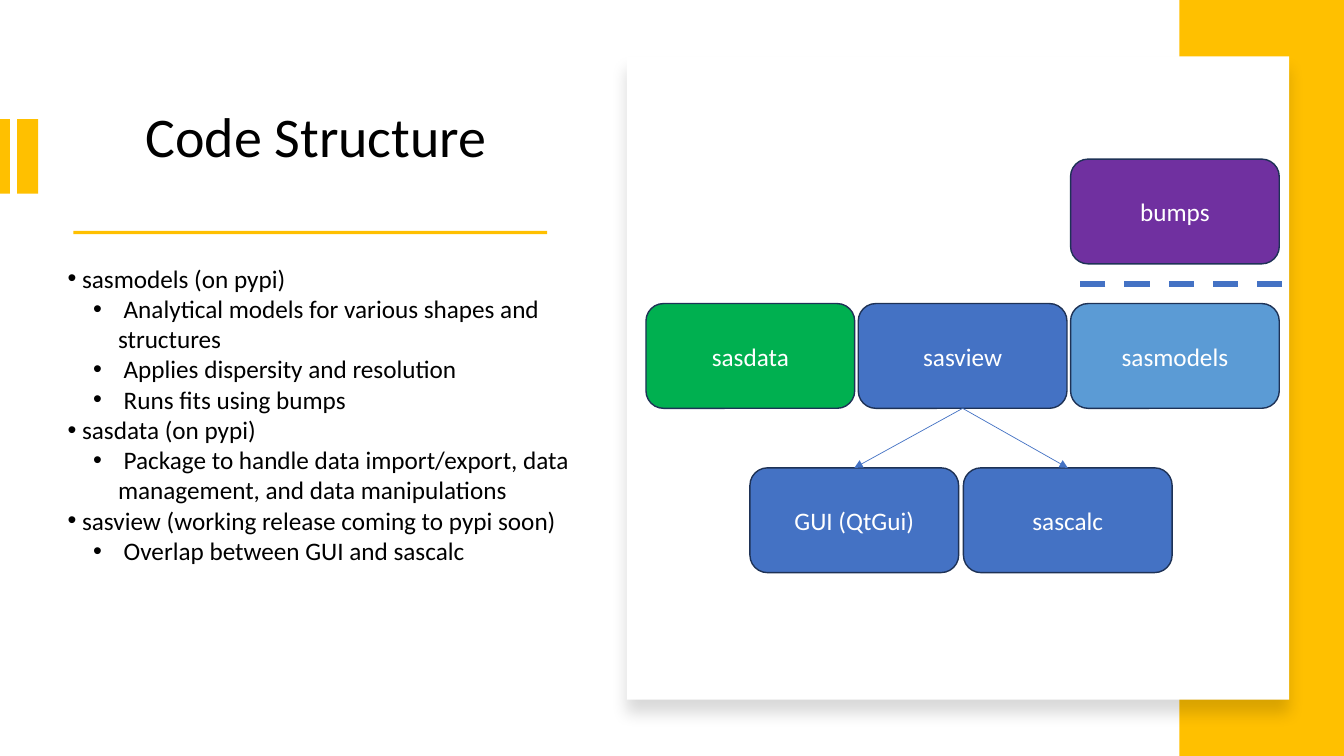
import pptx
import pptx.dml.color
import pptx.enum.dml
import pptx.enum.shapes
import pptx.enum.text
import pptx.oxml
import pptx.oxml.ns
import pptx.util

Cm, Pt = pptx.util.Cm, pptx.util.Pt
SHAPE = pptx.enum.shapes.MSO_SHAPE
ALIGN = pptx.enum.text.PP_ALIGN
ANCHOR = pptx.enum.text.MSO_ANCHOR
NS = pptx.oxml.ns.nsdecls("a")

FONT = "Calibri"
GOLD, BLUE, WHITE, BLACK, NAVY = "FFC000", "4472C4", "FFFFFF", "000000", "1E3256"
BOX_W, BOX_H = 5.26, 2.64

BULLETS = [
    (0, " sasmodels\u00a0(on pypi)".replace("\u00a0", " ")),
    (1, " Analytical models for various shapes and structures"),
    (1, " Applies dispersity and resolution"),
    (1, " Runs fits using bumps"),
    (0, " sasdata (on pypi)"),
    (1, " Package to handle data import/export, data management, and data manipulations"),
    (0, " sasview (working release coming to pypi soon)"),
    (1, " Overlap between GUI and sascalc"),
]


def rgb(value):
    return pptx.dml.color.RGBColor.from_string(value)


def add_run(p, text, size, color):
    r = p.add_run()
    r.text = text
    r.font.name = FONT
    r.font.size = Pt(size)
    r.font.color.rgb = rgb(color)


def add_box(s, kind, x, y, w, h, fill, line=None):
    sp = s.shapes.add_shape(kind, Cm(x), Cm(y), Cm(w), Cm(h))
    sp.shadow.inherit = False
    sp.fill.solid()
    sp.fill.fore_color.rgb = rgb(fill)
    if line:
        sp.line.color.rgb = rgb(line)
        sp.line.width = Pt(1)
    else:
        sp.line.fill.background()
    return sp


def add_line(s, x1, y1, x2, y2, width):
    c = s.shapes.add_connector(
        pptx.enum.shapes.MSO_CONNECTOR.STRAIGHT, Cm(x1), Cm(y1), Cm(x2), Cm(y2))
    c.line.color.rgb = rgb(BLUE)
    c.line.width = Pt(width)
    c._element.spPr.append(pptx.oxml.parse_xml(f"<a:effectLst {NS}/>"))
    return c


def place(sp, x, y, w, h):
    sp.left, sp.top, sp.width, sp.height = Cm(x), Cm(y), Cm(w), Cm(h)
    tf = sp.text_frame
    tf.word_wrap = True
    tf.auto_size = pptx.enum.text.MSO_AUTO_SIZE.NONE
    return tf


def add_title(s, x, y, w, h):
    tf = place(s.shapes.title, x, y, w, h)
    tf.vertical_anchor = ANCHOR.MIDDLE
    p = tf.paragraphs[0]
    p.alignment = ALIGN.CENTER
    p.line_spacing = 0.9
    add_run(p, "Code Structure", 40, BLACK)


def add_bullets(s, x, y, w, h):
    tf = place(s.placeholders[1], x, y, w, h)
    tf.vertical_anchor = ANCHOR.TOP
    for i, (level, text) in enumerate(BULLETS):
        p = tf.add_paragraph() if i else tf.paragraphs[0]
        p.level = level
        p.alignment = ALIGN.LEFT
        p.space_before = p.space_after = Pt(0)
        p.line_spacing = 1.0
        pPr = p._p.get_or_add_pPr()
        pPr.set("marL", str(Cm(1.27 * level)))
        pPr.set("indent", str(-Cm(0.63 * level)))
        pPr.append(pptx.oxml.parse_xml(f'<a:buFont {NS} typeface="Arial"/>'))
        pPr.append(pptx.oxml.parse_xml(f'<a:buChar {NS} char="•"/>'))
        add_run(p, text, 18, BLACK)


def add_accents(s, w, h):
    # Two bars at the left edge, the rule under the title, the right band
    for x, y, bar_w, bar_h in [(0, 3, 0.25, 1.88), (0.43, 3, 0.53, 1.88),
                               (1.85, 5.82, 11.94, 0.08), (w - 4.15, 0, 4.15, h)]:
        add_box(s, SHAPE.RECTANGLE, x, y, bar_w, bar_h, GOLD)


def add_module_row(s, x, y, pitch, modules):
    row = []
    for i, (name, fill) in enumerate(modules):
        sp = add_box(s, SHAPE.ROUNDED_RECTANGLE, x + i * pitch, y, BOX_W, BOX_H, fill, NAVY)
        tf = sp.text_frame
        tf.word_wrap = True
        tf.vertical_anchor = ANCHOR.MIDDLE
        p = tf.paragraphs[0]
        p.alignment = ALIGN.CENTER
        add_run(p, name, 18, WHITE)
        row.append(sp)
    return row


def add_diagram(s, x, y, w, h):
    # Panel with a soft shadow below it
    panel = add_box(s, SHAPE.RECTANGLE, x, y, w, h, WHITE)
    panel._element.spPr.find(pptx.oxml.ns.qn("a:effectLst")).append(pptx.oxml.parse_xml(
        f'<a:outerShdw {NS} blurRad="{Pt(11)}" dist="{Pt(10)}" dir="5400000" '
        f'algn="t" rotWithShape="0"><a:srgbClr val="{BLACK}"><a:alpha val="15000"/>'
        '</a:srgbClr></a:outerShdw>'))

    # Modules
    pitch = 5.35
    packages = add_module_row(s, x + 0.48, y + 6.23, pitch, [
        ("sasdata", "00B050"), ("sasview", BLUE), ("sasmodels", "5B9BD5")])
    add_module_row(s, x + 0.48 + 2 * pitch, y + 2.59, pitch, [("bumps", "7030A0")])
    parts = add_module_row(s, x + 3.1, y + 10.37, 5.38, [
        ("GUI (QtGui)", BLUE), ("sascalc", BLUE)])

    # Arrows from sasview to its parts
    for part in parts:
        arrow = add_line(s, 0, 0, 1, 1, 0.5)
        arrow.begin_connect(packages[1], 2)
        arrow.end_connect(part, 0)
        arrow.line._get_or_add_ln().append(
            pptx.oxml.parse_xml(f'<a:tailEnd {NS} type="triangle"/>'))

    # Dashed divider between bumps and sasmodels
    divider = add_line(s, x + 16.51, y + 5.74, x + 11.1, y + 5.74, 4.5)
    divider.line.dash_style = pptx.enum.dml.MSO_LINE.DASH


def main():
    prs = pptx.Presentation()
    prs.slide_width, prs.slide_height = Cm(33.87), Cm(19.05)
    s = prs.slides.add_slide(prs.slide_layouts[1])
    add_title(s, 1.63, 1.96, 12.67, 3.12)
    add_accents(s, 33.87, 19.05)
    add_diagram(s, 15.8, 1.42, 16.69, 16.21)
    add_bullets(s, 1.45, 6.5, 13.79, 11.71)
    prs.save("out.pptx")


if __name__ == "__main__":
    main()
